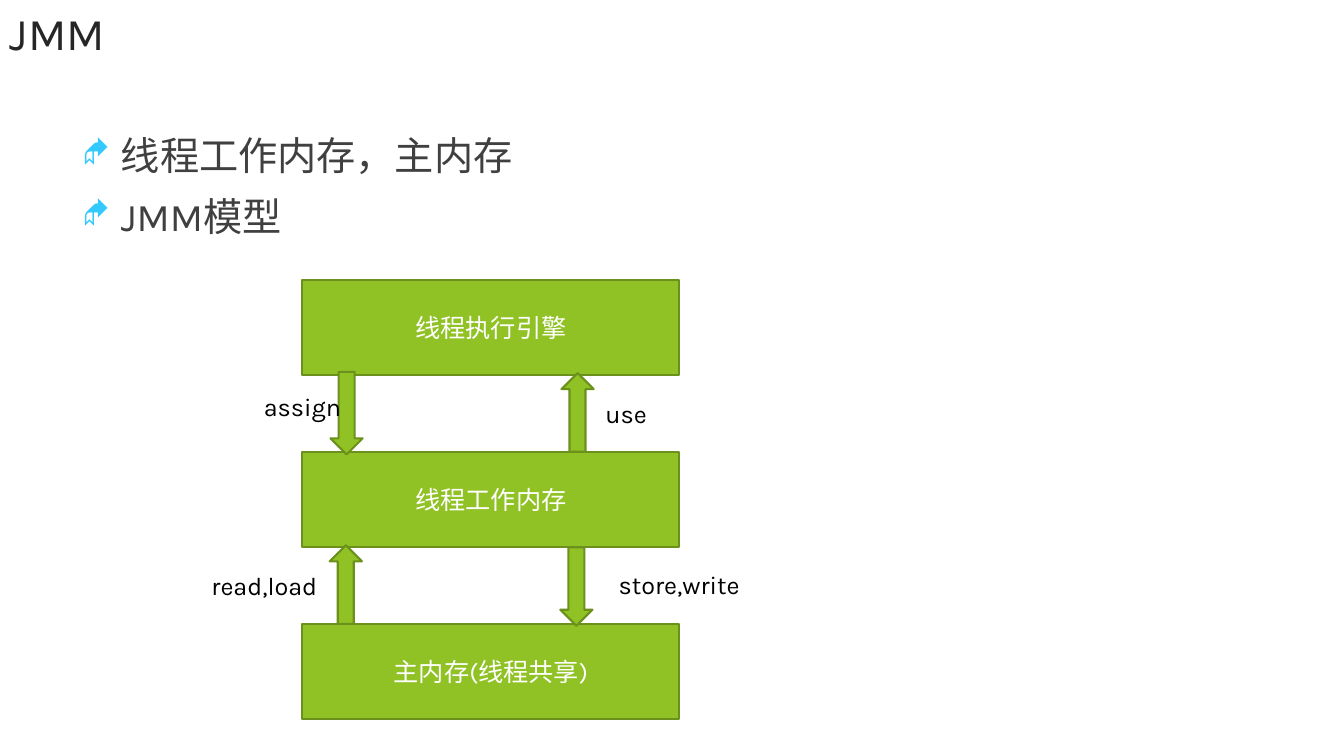
from dataclasses import dataclass

from lxml.etree import SubElement
from pptx import Presentation
from pptx.dml.color import RGBColor
from pptx.enum.lang import MSO_LANGUAGE_ID as Language
from pptx.enum.shapes import MSO_SHAPE as Shape
from pptx.enum.text import MSO_ANCHOR as Anchor, PP_ALIGN as Align
from pptx.oxml.ns import qn
from pptx.util import Cm, Pt


@dataclass(frozen=True)
class Theme:
    font: str = "Karla"
    chinese_font: str = "Noto Sans CJK JP"
    title_color: str = "262626"
    body_color: str = "404040"
    bullet_color: str = "33C9FF"
    fill_color: str = "90C226"
    line_color: str = "6B901C"
    box_text_color: str = "FFFFFF"
    label_color: str = "000000"
    title_size: float = 32.4
    body_size: float = 28
    label_size: float = 18
    line_width: float = 1.5


class SlideBuilder:
    def __init__(self, page, theme):
        self.page = page
        self.theme = theme

    def style(self, para, size, color, font=None):
        for span in para.runs:
            span.font.name = font or self.theme.font
            span.font.size = Pt(size)
            span.font.color.rgb = RGBColor.from_string(color)
            span.font.language_id = Language.SIMPLIFIED_CHINESE
            east_asian = SubElement(span.font._element, qn("a:ea"))
            east_asian.set("typeface", self.theme.font)

    def text_box(self, left, top, width, height):
        box = self.page.shapes.add_textbox(Cm(left), Cm(top), Cm(width), Cm(height))
        box.text_frame.word_wrap = True
        return box.text_frame

    def title(self, text, left, top, width, height):
        frame = self.text_box(left, top, width, height)
        frame.vertical_anchor = Anchor.MIDDLE
        frame.text = text
        self.style(frame.paragraphs[0], self.theme.title_size, self.theme.title_color)

    def bullets(self, items, left, top, width, height):
        frame = self.text_box(left, top, width, height)
        frame.text = "\n".join(text for text, _ in items)
        for para, (_, font) in zip(frame.paragraphs, items):
            para.space_before = Pt(10)
            self.style(para, self.theme.body_size, self.theme.body_color, font)
            self.bullet(para)

    def bullet(self, para):
        props = para._p.get_or_add_pPr()
        props.set("marL", str(Cm(0.97)))
        props.set("indent", str(-Cm(0.97)))
        color = SubElement(props, qn("a:buClr"))
        SubElement(color, qn("a:srgbClr")).set("val", self.theme.bullet_color)
        SubElement(props, qn("a:buSzPct")).set("val", "80000")
        SubElement(props, qn("a:buFont")).set("typeface", "Wingdings")
        SubElement(props, qn("a:buChar")).set("char", "◆")

    def shape(self, kind, left, top, width, height):
        shape = self.page.shapes.add_shape(kind, Cm(left), Cm(top), Cm(width), Cm(height))
        shape.shadow.inherit = False
        shape.fill.solid()
        shape.fill.fore_color.rgb = RGBColor.from_string(self.theme.fill_color)
        shape.line.color.rgb = RGBColor.from_string(self.theme.line_color)
        shape.line.width = Pt(self.theme.line_width)
        return shape

    def memory_box(self, text, left, top, width, height):
        frame = self.shape(Shape.RECTANGLE, left, top, width, height).text_frame
        frame.word_wrap = True
        frame.vertical_anchor = Anchor.MIDDLE
        frame.text = text
        para = frame.paragraphs[0]
        para.alignment = Align.CENTER
        self.style(para, self.theme.label_size, self.theme.box_text_color)

    def arrow(self, left, top, height, rotation):
        self.shape(Shape.UP_ARROW, left, top, 0.81, height).rotation = rotation

    def label(self, text, left, top, width):
        frame = self.text_box(left, top, width, 1.02)
        frame.text = text
        self.style(frame.paragraphs[0], self.theme.label_size, self.theme.label_color)


def main():
    deck = Presentation()
    deck.slide_width, deck.slide_height = Cm(33.87), Cm(19.05)
    theme = Theme()
    slide = SlideBuilder(deck.slides.add_slide(deck.slide_layouts[6]), theme)

    slide.title("JMM", 0, 0, 23.88, 1.63)
    items = [("线程工作内存，主内存", theme.chinese_font), ("JMM模型", theme.font)]
    slide.bullets(items, 1.83, 3.18, 27.05, 14.94)

    for row, text in enumerate(["线程执行引擎", "线程工作内存", "主内存(线程共享)"]):
        slide.memory_box(text, 7.62, 7.06 + row * 4.33, 9.5, 2.39)

    up, down = 0, 180
    for left, top, height, rotation in [
        (8.31, 13.74, 1.98, up),
        (14.12, 13.79, 1.98, down),
        (8.33, 9.37, 2.08, down),
        (14.15, 9.4, 1.98, up),
    ]:
        slide.arrow(left, top, height, rotation)

    for text, left, top, width in [
        ("read,load", 5.08, 14.25, 3.4),
        ("store,write", 15.34, 14.22, 4.19),
        ("use", 15.01, 9.91, 4.19),
        ("assign", 6.4, 9.73, 4.19),
    ]:
        slide.label(text, left, top, width)

    deck.save("out.pptx")


if __name__ == "__main__":
    main()
